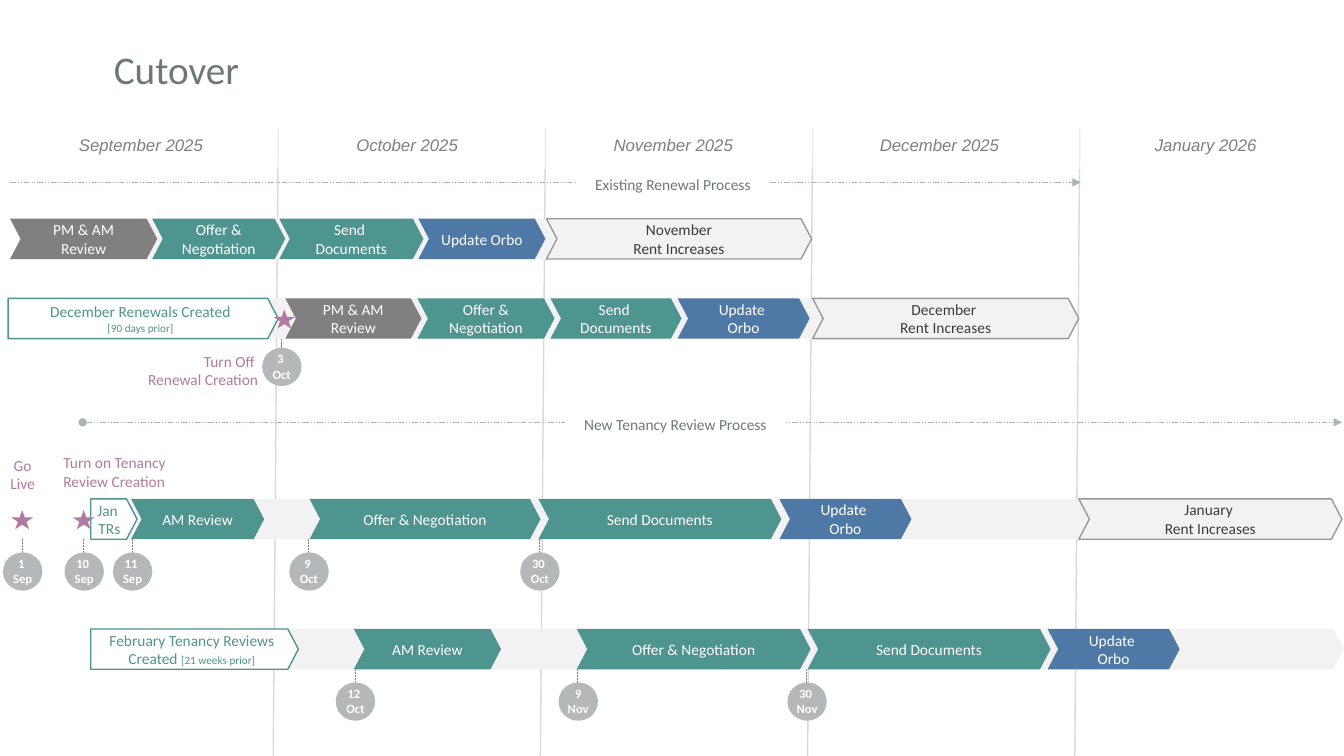
from lxml import etree
from pptx import Presentation
from pptx.dml.color import RGBColor
from pptx.enum.dml import MSO_LINE
from pptx.enum.shapes import MSO_CONNECTOR, MSO_SHAPE
from pptx.enum.text import MSO_ANCHOR, PP_ALIGN
from pptx.oxml.ns import qn
from pptx.util import Inches, Pt

CHEVRON, PLATE = MSO_SHAPE.CHEVRON, MSO_SHAPE.PENTAGON
OVAL, STAR, RECT = MSO_SHAPE.OVAL, MSO_SHAPE.STAR_5_POINT, MSO_SHAPE.RECTANGLE
ROUNDED, STRAIGHT = MSO_SHAPE.ROUNDED_RECTANGLE, MSO_CONNECTOR.STRAIGHT
LONG_DASH, SHORT_DASH = MSO_LINE.DASH_DOT_DOT, MSO_LINE.SQUARE_DOT
LEFT, CENTER, RIGHT = PP_ALIGN.LEFT, PP_ALIGN.CENTER, PP_ALIGN.RIGHT
MIDDLE, TOP = MSO_ANCHOR.MIDDLE, MSO_ANCHOR.TOP

WHITE, PALE, GREY, TEAL, BLUE = "FFFFFF", "F2F2F2", "808080", "4E948F", "4E79A7"
MAUVE, SLATE, INK, SILVER, EDGE = "B07AA1", "6E7878", "373C3C", "B4B8B8", "999999"
MONTH, FIRST_MONTH_END, GRID_TOP, PAGE_HEIGHT = 2.65, 2.76, 1.27, 7.5
NOVEMBER, DECEMBER, JANUARY, FEBRUARY = 2.17, 2.96, 4.95, 6.24
BAR_HEIGHT = 0.4
OFFER, SEND, UPDATE = "Offer & Negotiation", "Send Documents", "Update \nOrbo"
SEND_SPLIT = "Send \nDocuments"


def color(value):
    return RGBColor.from_string(value)


def place(kind, area, fill=None, edge=None, text="", ink=WHITE, align=CENTER,
          anchor=MIDDLE, margin=None, **font_values):
    area = [Inches(length) for length in area]
    if kind is None:
        box = page.shapes.add_textbox(*area)
    else:
        box = page.shapes.add_shape(kind, *area)
        box.shadow.inherit = False
        if kind in (CHEVRON, PLATE):
            box.adjustments[0] = 0.262
    if fill:
        box.fill.solid()
        box.fill.fore_color.rgb = color(fill)
    if edge:
        box.line.color.rgb = color(edge)
        box.line.width = Pt(1)
    else:
        box.line.fill.background()
    if not text:
        return box
    frame = box.text_frame
    frame.word_wrap = True
    frame.vertical_anchor = anchor
    if margin is not None:
        for side in ("left", "right", "top", "bottom"):
            setattr(frame, f"margin_{side}", margin)
    for index, line in enumerate(text.split("\n")):
        para = frame.paragraphs[0] if index == 0 else frame.add_paragraph()
        para.alignment = align
        main, bracket, note = line.partition("[")
        for part, size in ((main, 11), (bracket + note, 8)):
            if part:
                span = para.add_run()
                span.text = part
                span.font.color.rgb = color(ink)
                values = {"name": "Calibri", "size": Pt(size), **font_values}
                for name, value in values.items():
                    setattr(span.font, name, value)
    return box


deck = Presentation()
deck.slide_width, deck.slide_height = Inches(13.33), Inches(PAGE_HEIGHT)
page = deck.slides.add_slide(deck.slide_layouts[5])

title = page.shapes.title
for name, value in {"left": 1.03, "top": 0.4, "width": 9.43, "height": 0.63}.items():
    setattr(title, name, Inches(value))
title.text_frame.text = "Cutover"
title.text_frame.vertical_anchor = MIDDLE
para = title.text_frame.paragraphs[0]
para.alignment, para.line_spacing = LEFT, 0.9
for name, value in {"name": "Calibri", "size": Pt(28)}.items():
    setattr(para.font, name, value)
para.font.color.rgb = color(SLATE)

milestones = [
    (0.22, JANUARY, "1 \nSep"), (0.83, JANUARY, "10 \nSep"), (1.31, JANUARY, "11 \nSep"),
    (3.06, JANUARY, "9 \nOct"), (5.35, JANUARY, "30 \nOct"), (2.79, DECEMBER, "3 \nOct"),
    (3.52, FEBRUARY, "12 \nOct"), (5.73, FEBRUARY, "9\nNov"), (8, FEBRUARY, "30 \nNov"),
]
lines = [
    (FIRST_MONTH_END + MONTH * month, GRID_TOP, FIRST_MONTH_END - 0.05 + MONTH * month,
     PAGE_HEIGHT, "D9D9D9", 1, None, {})
    for month in range(4)
]
lines += [
    (0.1, 1.81, 10.72, 1.81, "AAB4B4", 0.5, LONG_DASH, {"tailEnd": "triangle"}),
    (0.82, 4.19, 13.31, 4.19, "AAB4B4", 0.5, LONG_DASH,
     {"headEnd": "oval", "tailEnd": "triangle"}),
]
lines += [
    (x, track + BAR_HEIGHT, x, track + BAR_HEIGHT + 0.14, "7F7F7F", 0.5, SHORT_DASH, {})
    for x, track, date in milestones
]
for x1, y1, x2, y2, tone, width, dash, ends in lines:
    rule = page.shapes.add_connector(STRAIGHT, *[Inches(v) for v in (x1, y1, x2, y2)])
    rule.line.color.rgb = color(tone)
    rule.line.width = Pt(width)
    if dash:
        rule.line.dash_style = dash
    properties = rule._element.spPr
    for end, shape_name in ends.items():
        etree.SubElement(properties.find(qn("a:ln")), qn(f"a:{end}"), type=shape_name)
    etree.SubElement(properties, qn("a:effectLst"))

for left, track, width in [(0.96, FEBRUARY, 12.37), (0.9, JANUARY, 12.31),
                           (0.12, NOVEMBER, 7.92), (0.12, DECEMBER, 10.57)]:
    place(CHEVRON, (left, track, width, BAR_HEIGHT), PALE)

band = place(ROUNDED, (0.12, GRID_TOP, 13.19, 0.41), WHITE)
tint = band._element.spPr.find(".//" + qn("a:srgbClr"))
etree.SubElement(tint, qn("a:alpha"), val="50000")

months = ["September 2025", "October 2025", "November 2025", "December 2025", "January 2026"]
header = place(None, (0.08, 1.29, 13.12, 0.3), text="\t" + "\t".join(months),
               ink="7F7F7F", align=LEFT, anchor=TOP, name="Arial", size=Pt(12), italic=True)
tabs = etree.SubElement(header.text_frame.paragraphs[0]._p.get_or_add_pPr(), qn("a:tabLst"))
for month in range(len(months)):
    etree.SubElement(tabs, qn("a:tab"), pos=str(Inches(1.22 + 2.64 * month)), algn="ctr")

steps = [
    (0.1, NOVEMBER, 1.46, GREY, "PM & AM Review"),
    (1.51, NOVEMBER, 1.32, TEAL, OFFER),
    (2.77, NOVEMBER, 1.43, TEAL, SEND_SPLIT),
    (4.15, NOVEMBER, 1.26, BLUE, "Update Orbo"),
    (2.83, DECEMBER, 1.35, GREY, "PM & AM Review"),
    (4.14, DECEMBER, 1.36, TEAL, OFFER),
    (5.46, DECEMBER, 1.3, TEAL, SEND_SPLIT),
    (6.72, DECEMBER, 1.31, BLUE, UPDATE),
    (1.3, JANUARY, 1.32, TEAL, "AM Review"),
    (3.07, JANUARY, 2.29, TEAL, OFFER),
    (5.34, JANUARY, 2.41, TEAL, SEND),
    (7.73, JANUARY, 1.31, BLUE, UPDATE),
    (3.51, FEBRUARY, 1.46, TEAL, "AM Review"),
    (5.72, FEBRUARY, 2.32, TEAL, OFFER),
    (8.01, FEBRUARY, 2.41, TEAL, SEND),
    (10.39, FEBRUARY, 1.31, BLUE, UPDATE),
]
for left, track, width, fill, text in steps:
    place(CHEVRON, (left, track, width, BAR_HEIGHT), fill, text=text)

for left, track, width, month in [(5.42, NOVEMBER, 2.63, "November"),
                                  (8.06, DECEMBER, 2.64, "December "),
                                  (10.7, JANUARY, 2.61, "January ")]:
    place(CHEVRON, (left, track, width, BAR_HEIGHT), PALE, EDGE,
          f"{month}\nRent Increases", INK)

for left, track, width, text in [
    (0.08, DECEMBER, 2.68, "December Renewals Created\n[90 days prior]"),
    (0.9, JANUARY, 0.46, ""),
    (0.9, FEBRUARY, 2.06, "February Tenancy Reviews Created [21 weeks prior]"),
]:
    place(PLATE, (left, track, width, BAR_HEIGHT), WHITE, TEAL, text, TEAL)

for kind, area, fill, text, ink, align in [
    (RECT, (5.72, 1.68, 1.91, 0.29), WHITE, "Existing Renewal Process", SLATE, CENTER),
    (RECT, (5.6, 4.06, 2.2, 0.29), WHITE, "New Tenancy Review Process", SLATE, CENTER),
    (RECT, (1.25, 3.44, 1.41, 0.47), WHITE, "Turn Off \nRenewal Creation", MAUVE, RIGHT),
    (None, (-0.06, 4.47, 0.57, 0.47), None, "Go Live", MAUVE, CENTER),
    (None, (0.8, 4.92, 0.57, 0.47), None, "Jan \nTRs", TEAL, CENTER),
    (None, (0.53, 4.35, 1.29, 0.66), None, "Turn on Tenancy Review Creation", MAUVE, LEFT),
]:
    place(kind, area, fill, text=text, ink=ink, align=align)

for left, track in [(2.71, DECEMBER), (0.11, JANUARY), (0.72, JANUARY)]:
    place(STAR, (left, track + 0.11, 0.22, 0.19), MAUVE)

for x, track, date in milestones:
    top = track + (0.49 if track == DECEMBER else 0.53)
    place(OVAL, (x - 0.19, top, 0.39, 0.38), SILVER)
    place(RECT, (x - 0.16, top + 0.08, 0.33, 0.21), SILVER, text=date, margin=0,
          size=Pt(9), bold=True)

deck.save("out.pptx")
